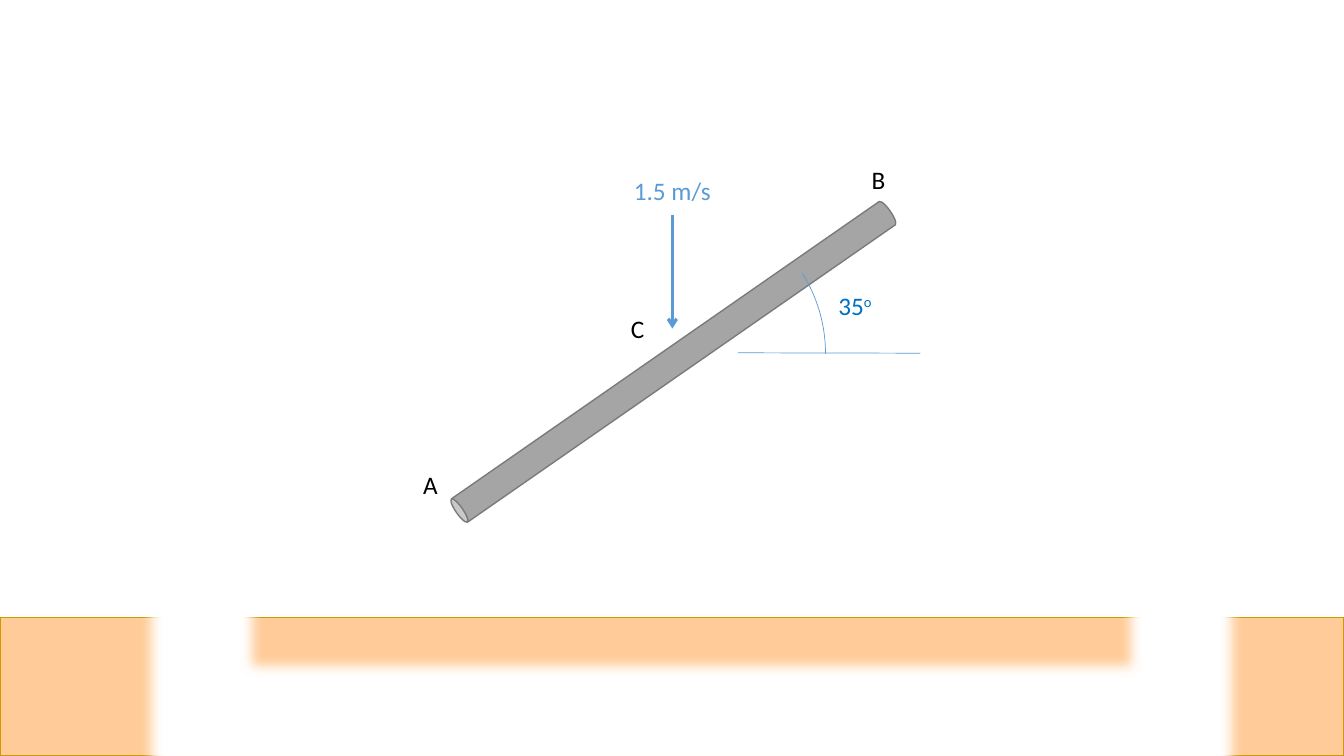
"""Draw a falling rod held at an angle above the ground."""
from lxml import etree
from pptx import Presentation
from pptx.dml.color import RGBColor
from pptx.enum.shapes import MSO_CONNECTOR, MSO_SHAPE
from pptx.enum.text import MSO_AUTO_SIZE
from pptx.oxml.ns import qn
from pptx.util import Pt

RECT, CAN, FRAME, ARC = (MSO_SHAPE.RECTANGLE, MSO_SHAPE.CAN,
                         MSO_SHAPE.FRAME, MSO_SHAPE.ARC)
LINE = MSO_CONNECTOR.STRAIGHT
GROW = MSO_AUTO_SIZE.SHAPE_TO_FIT_TEXT
HUES = {"sand": "FFCC99", "gold": "CC9900", "grey": "A5A5A5", "dark": "7A7A7A",
        "white": "FFFFFF", "black": "000000", "sky": "5B9BD5", "blue": "0070C0"}
FONT = {"name": "Calibri", "size": Pt(18)}
FLOW = {"word_wrap": False, "auto_size": GROW}


def tint(name):
    """Return the named colour."""
    return RGBColor.from_string(HUES[name])


def apply(item, values):
    """Set each attribute of the item from a dict."""
    for key, value in values.items():
        setattr(item, key, value)


def stroke(line, hue, width):
    """Give a line its colour and width."""
    line.color.rgb = tint(hue)
    line.width = Pt(width)


def add_form(slide, kind, box, fill=None, edge=None, adjust=(), turn=0):
    """Add a preset shape with optional fill and edge."""
    form = slide.shapes.add_shape(kind, *map(Pt, box))
    form.shadow.inherit = False
    form.rotation = turn
    for index, value in enumerate(adjust):
        form.adjustments[index] = value
    if fill:
        form.fill.solid()
        form.fill.fore_color.rgb = tint(fill)
    else:
        form.fill.background()
    if edge:
        stroke(form.line, *edge)
    else:
        form.line.fill.background()
    return form


def soften(form, radius):
    """Blur the edges of a shape."""
    effects = form._element.spPr.find(qn("a:effectLst"))
    etree.SubElement(effects, qn("a:softEdge"), rad=str(Pt(radius)))


def add_line(slide, start, end, width, arrow=False):
    """Add a straight line, with an arrowhead if asked."""
    line = slide.shapes.add_connector(LINE, *map(Pt, start + end))
    stroke(line.line, "sky", width)
    if arrow:
        etree.SubElement(line.line._get_or_add_ln(), qn("a:tailEnd"), type="arrow")
    etree.SubElement(line._element.spPr, qn("a:effectLst"))


def add_label(slide, left, top, width, text, hue, power=""):
    """Add a label with an optional raised part."""
    frame = slide.shapes.add_textbox(*map(Pt, (left, top, width, 28.8))).text_frame
    apply(frame, FLOW)
    for part, base in ((text, 0), (power, 30000)):
        if part:
            run = frame.paragraphs[0].add_run()
            run.text = part
            apply(run.font, FONT)
            run.font.color.rgb = tint(hue)
            if base:
                run.font._element.set("baseline", str(base))


def main():
    """Build and save the slide."""
    deck = Presentation()
    apply(deck, {"slide_width": Pt(960), "slide_height": Pt(540)})
    slide = deck.slides.add_slide(deck.slide_layouts[6])
    add_form(slide, RECT, (0, 441.2, 960, 98.8), "sand", ("gold", 1))
    add_form(slide, CAN, (470.9, 69.8, 20.2, 377.3), "grey", ("dark", 1), turn=235.2)
    add_line(slide, (480.3, 153.4), (480.3, 234.7), 2.25, arrow=True)
    mask = add_form(slide, FRAME, (100.8, 14.4, 787, 540.7), "white", adjust=(0.161,))
    soften(mask, 8.86)
    for label in ((295.2, 331.9, 25.2, "A", "black"),
                  (615.6, 113.8, 24.5, "B", "black"),
                  (443.5, 220.3, 24.5, "C", "black"),
                  (445.7, 121.7, 69.8, "1.5 m/s", "sky")):
        add_label(slide, *label)
    add_line(slide, (527, 252), (657.4, 252.3), 0.5)
    add_form(slide, ARC, (373.7, 144.7, 216, 216), edge=("sky", 0.5),
             adjust=(196.714, 0))
    add_label(slide, 591.8, 203.8, 39.6, "35", "blue", "o")
    deck.save("out.pptx")


if __name__ == "__main__":
    main()
